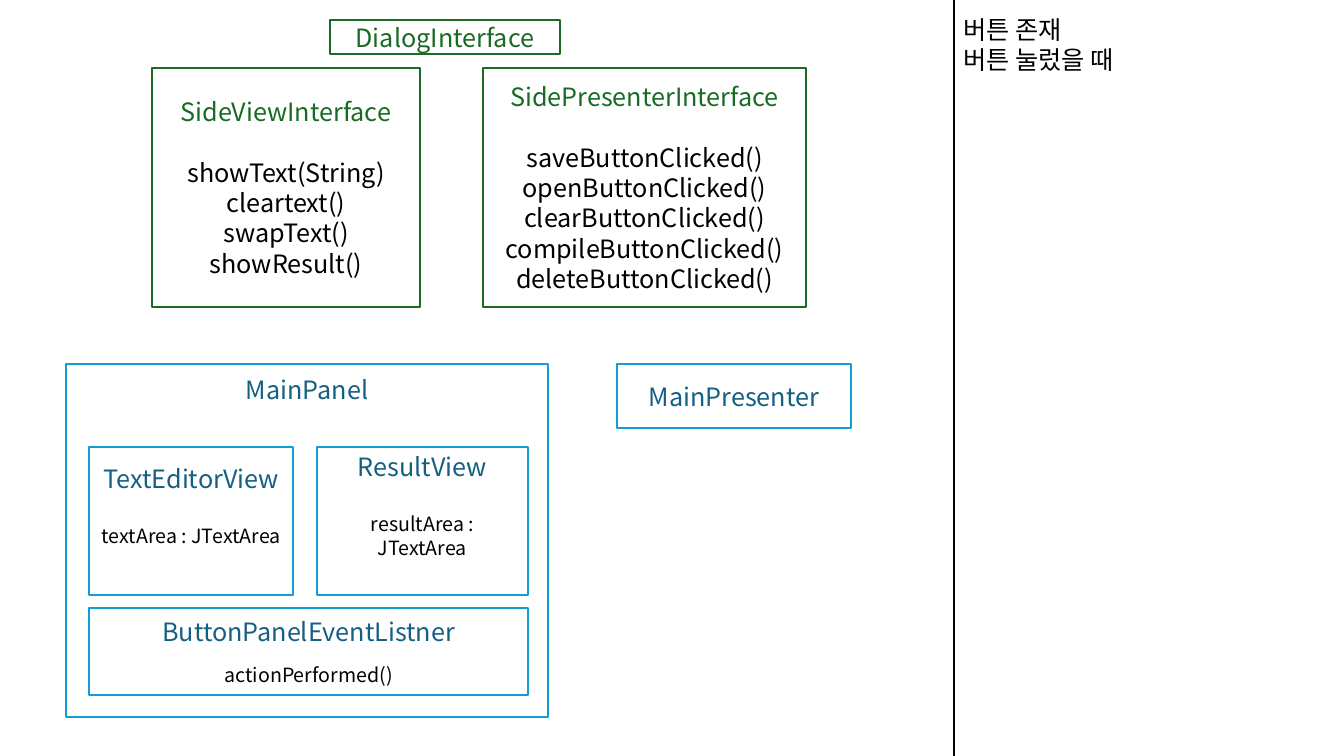
import dataclasses

import pptx
import pptx.dml.color
import pptx.enum.shapes
import pptx.enum.text
import pptx.oxml
import pptx.oxml.ns
import pptx.util

Cm = pptx.util.Cm
Pt = pptx.util.Pt
Align = pptx.enum.text.PP_ALIGN
Anchor = pptx.enum.text.MSO_ANCHOR


@dataclasses.dataclass(frozen=True)
class Theme:
    font: str = "Noto Sans CJK KR"
    paper: str = "FFFFFF"
    ink: str = "000000"
    green: str = "196B24"
    blue_line: str = "0F9ED5"
    blue_text: str = "156082"
    large: int = 18
    small: int = 14
    leading: float = 1.2
    line_width: float = 1.5


THEME = Theme()


def rgb(value):
    return pptx.dml.color.RGBColor.from_string(value)


def add_line_of_text(para, text, size, color, align, space_before=0):
    """Write one paragraph with a single formatted run."""
    para.alignment = align
    para.line_spacing = Pt(round(size * THEME.leading, 1))
    para.space_before = Pt(space_before)
    para.space_after = Pt(0)
    span = para.add_run()
    span.text = text
    span.font.size = Pt(size)
    span.font.name = THEME.font
    span.font.color.rgb = rgb(color)
    east_asian = pptx.oxml.parse_xml(
        f'<a:ea {pptx.oxml.ns.nsdecls("a")} typeface="{THEME.font}"/>')
    span.font._element.find(pptx.oxml.ns.qn("a:latin")).addnext(east_asian)


def next_paragraph(frame, index):
    return frame.paragraphs[0] if index == 0 else frame.add_paragraph()


def set_margins(frame, side, top, bottom):
    frame.margin_left = frame.margin_right = Cm(side)
    frame.margin_top, frame.margin_bottom = Cm(top), Cm(bottom)


def add_class_box(page, place, name, members=(), line=THEME.blue_line,
                  color=THEME.blue_text, size=THEME.small, gap=21.6, top=None):
    """Draw a class box; a top inset replaces vertical centring."""
    box = page.shapes.add_shape(
        pptx.enum.shapes.MSO_SHAPE.RECTANGLE, *map(Cm, place))
    box.shadow.inherit = False
    box.fill.solid()
    box.fill.fore_color.rgb = rgb(THEME.paper)
    box.line.color.rgb = rgb(line)
    box.line.width = Pt(THEME.line_width)
    frame = box.text_frame
    frame.word_wrap = True
    frame.vertical_anchor = Anchor.MIDDLE if top is None else Anchor.TOP
    set_margins(frame, 0.25, top or 0, 0)
    add_line_of_text(frame.paragraphs[0], name, THEME.large, color, Align.CENTER)
    for index, member in enumerate(members):
        add_line_of_text(frame.add_paragraph(), member, size, THEME.ink,
                         Align.CENTER, gap if index == 0 else 0)


def add_interface(page, place, name, members=()):
    add_class_box(page, place, name, members, THEME.green, THEME.green,
                  THEME.large)


def add_divider(page, x, height):
    divider = page.shapes.add_connector(
        pptx.enum.shapes.MSO_CONNECTOR.STRAIGHT, Cm(x), Cm(0), Cm(x), height)
    divider.line.color.rgb = rgb(THEME.ink)
    divider.line.width = Pt(THEME.line_width)
    divider._element.spPr.append(pptx.oxml.parse_xml(
        f'<a:effectLst {pptx.oxml.ns.nsdecls("a")}/>'))


def fill_notes_list(body, place, lines):
    """Move the body placeholder and fill it with an unbulleted list."""
    body.left, body.top, body.width, body.height = map(Cm, place)
    frame = body.text_frame
    frame.word_wrap = True
    frame.auto_size = pptx.enum.text.MSO_AUTO_SIZE.NONE
    frame.vertical_anchor = Anchor.TOP
    set_margins(frame, 0.23, 0.13, 0.13)
    for index, text in enumerate(lines):
        para = next_paragraph(frame, index)
        add_line_of_text(para, text, THEME.large, THEME.ink, Align.LEFT)
        properties = para._p.get_or_add_pPr()
        properties.set("marL", "0")
        properties.set("indent", "0")
        properties.append(pptx.oxml.parse_xml(
            f'<a:buNone {pptx.oxml.ns.nsdecls("a")}/>'))


def main():
    deck = pptx.Presentation()
    deck.slide_width, deck.slide_height = Cm(33.87), Cm(19.05)
    page = deck.slides.add_slide(deck.slide_layouts[1])
    title = page.shapes.title._element
    title.getparent().remove(title)

    # Notes column
    divider_x = 24.05
    fill_notes_list(page.placeholders[1], (divider_x, 0.23, 9.8, 1.8),
                    ["버튼 존재", "버튼 눌렀을 때"])
    add_divider(page, divider_x, deck.slide_height)

    # Interfaces
    add_interface(page, (8.32, 0.51, 5.79, 0.86), "DialogInterface")
    add_interface(page, (3.83, 1.72, 6.76, 6.01), "SideViewInterface",
                  ["showText(String)", "cleartext()", "swapText()",
                   "showResult()"])
    actions = ["save", "open", "clear", "compile", "delete"]
    add_interface(page, (12.17, 1.72, 8.15, 6.01), "SidePresenterInterface",
                  [f"{action}ButtonClicked()" for action in actions])

    # Main panel with its views, and the presenter
    add_class_box(page, (1.66, 9.17, 12.16, 8.9), "MainPanel", top=0.27)
    add_class_box(page, (2.25, 11.26, 5.14, 3.73), "TextEditorView",
                  ["textArea : JTextArea"], top=0.42)
    add_class_box(page, (7.99, 11.26, 5.31, 3.73), "ResultView",
                  ["resultArea : JTextArea"], top=0.12)
    add_class_box(page, (2.25, 15.32, 11.06, 2.2), "ButtonPanelEventListner",
                  ["actionPerformed()"], gap=12)
    add_class_box(page, (15.55, 9.17, 5.9, 1.62), "MainPresenter")

    deck.save("out.pptx")


if __name__ == "__main__":
    main()
